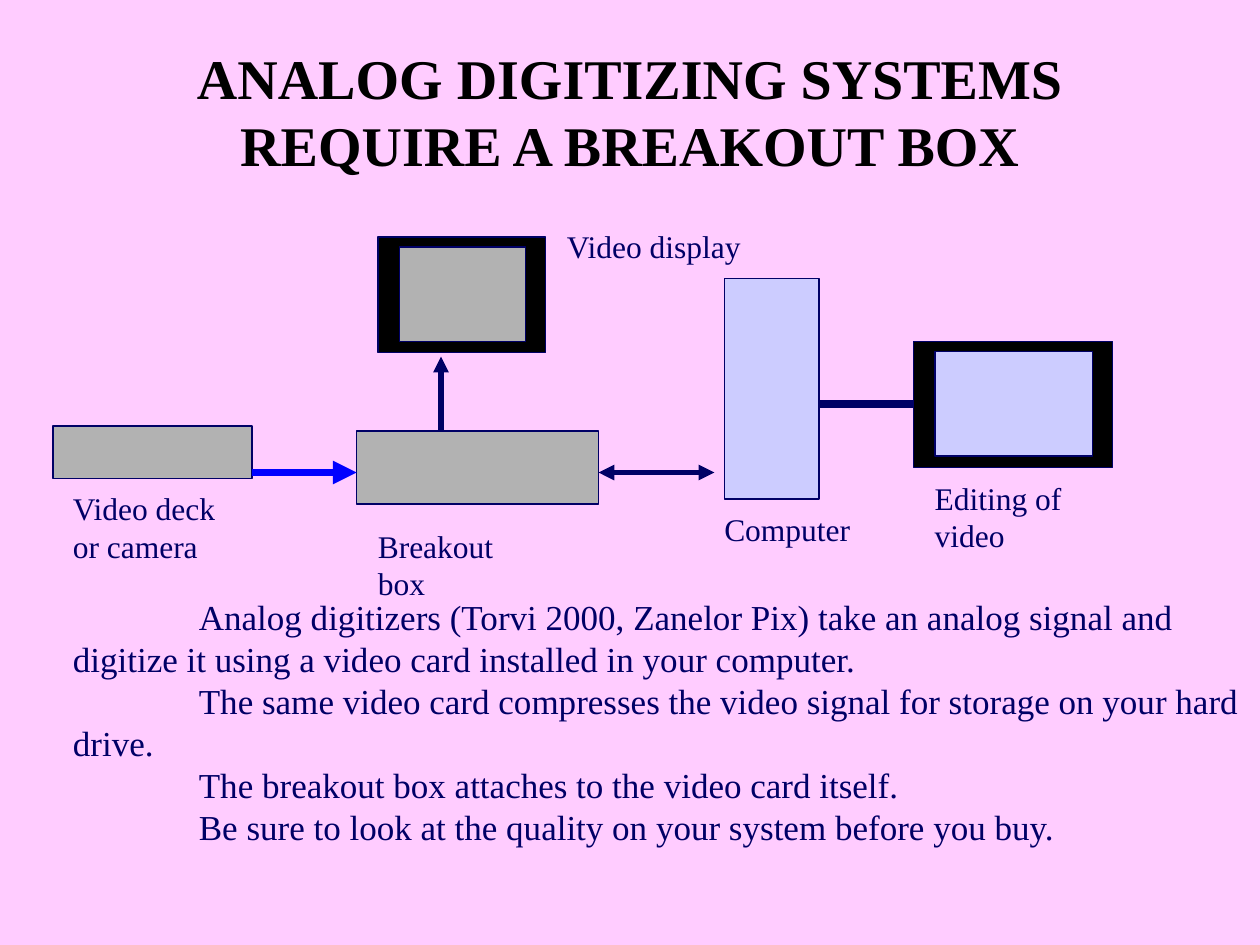
import pptx
import pptx.util
import pptx.dml.color
import pptx.enum.shapes
import pptx.enum.text
import pptx.oxml.ns
from lxml import etree

Inches = pptx.util.Inches
Pt = pptx.util.Pt
RGBColor = pptx.dml.color.RGBColor
PP_ALIGN = pptx.enum.text.PP_ALIGN
MSO_ANCHOR = pptx.enum.text.MSO_ANCHOR
MSO_AUTO_SIZE = pptx.enum.text.MSO_AUTO_SIZE
qn = pptx.oxml.ns.qn

PINK = RGBColor(0xFF, 0xCC, 0xFF)
NAVY = RGBColor(0x00, 0x00, 0x66)
BLUE = RGBColor(0x00, 0x00, 0xFF)
BLACK = RGBColor(0x00, 0x00, 0x00)
GRAY = RGBColor(0xB2, 0xB2, 0xB2)
LAVENDER = RGBColor(0xCC, 0xCC, 0xFF)
FONT = "Times New Roman"


def add_text(s, box, lines, size, color=NAVY, bold=False, wrap=True,
             align=PP_ALIGN.LEFT, anchor=MSO_ANCHOR.TOP, indent=0):
    tf = s.shapes.add_textbox(*map(Inches, box)).text_frame
    tf.word_wrap = wrap
    tf.vertical_anchor = anchor
    tf.auto_size = MSO_AUTO_SIZE.NONE if wrap else MSO_AUTO_SIZE.SHAPE_TO_FIT_TEXT
    for i, line in enumerate(lines):
        p = tf.paragraphs[0] if i == 0 else tf.add_paragraph()
        p.alignment = align
        if indent:
            pPr = p._p.get_or_add_pPr()
            pPr.set("marL", "0")
            pPr.set("indent", str(Inches(indent)))
        r = p.add_run()
        r.text = line
        r.font.name = FONT
        r.font.size = Pt(size)
        r.font.bold = bold
        r.font.color.rgb = color


def add_box(s, box, fill):
    sp = s.shapes.add_shape(pptx.enum.shapes.MSO_SHAPE.RECTANGLE, *map(Inches, box))
    sp.shadow.inherit = False
    sp.fill.solid()
    sp.fill.fore_color.rgb = fill
    sp.line.color.rgb = NAVY
    sp.line.width = Pt(0.75)


def add_monitor(s, box, screen):
    x, y, w, h = box
    add_box(s, box, BLACK)
    add_box(s, (x + 0.17, y + 0.08, w - 0.33, h - 0.17), screen)


def add_line(s, start, end, width, color=NAVY, heads=()):
    sp = s.shapes.add_connector(pptx.enum.shapes.MSO_CONNECTOR.STRAIGHT,
                                *map(Inches, start + end))
    sp.line.color.rgb = color
    sp.line.width = Pt(width)
    ln = sp.line._get_or_add_ln()
    for head in heads:
        etree.SubElement(ln, qn("a:" + head), type="triangle")
    etree.SubElement(sp._element.spPr, qn("a:effectLst"))


def add_title(s, box):
    add_text(s, box, ["ANALOG DIGITIZING SYSTEMS REQUIRE A BREAKOUT BOX"], 32,
             BLACK, True, align=PP_ALIGN.CENTER, anchor=MSO_ANCHOR.MIDDLE)


def add_diagram(s, left, top):
    def at(x, y, *size):
        return (left + x, top + y) + size

    add_box(s, at(0, 1.63, 1.58, 0.42), GRAY)
    add_monitor(s, at(2.58, 0.13, 1.33, 0.92), GRAY)
    add_box(s, at(5.33, 0.46, 0.75, 1.75), LAVENDER)
    add_monitor(s, at(6.83, 0.96, 1.58, 1), LAVENDER)
    add_box(s, at(2.41, 1.67, 1.92, 0.58), GRAY)

    labels = [
        (at(0.06, 2.08, 1.41, 0.7), ["Video deck", "or camera"]),
        (at(3.98, 0, 1.59, 0.4), ["Video display"]),
        (at(5.23, 2.25, 1.2, 0.4), ["Computer"]),
        (at(6.9, 2, 1.82, 0.4), ["Editing of video"]),
        (at(2.48, 2.38, 1.55, 0.4), ["Breakout box"]),
    ]
    for box, lines in labels:
        add_text(s, box, lines, 18, wrap=False)

    add_line(s, at(6.08, 1.46), at(6.83, 1.46), 4.5)
    add_line(s, at(1.58, 2), at(2.41, 2), 4.5, BLUE, ["tailEnd"])
    add_line(s, at(3.08, 1.67), at(3.08, 1.08), 3, heads=["tailEnd"])
    add_line(s, at(4.33, 2), at(5.25, 2), 3, heads=["headEnd", "tailEnd"])


def add_notes_text(s, box):
    add_text(s, box, [
        "Analog digitizers (Torvi 2000, Zanelor Pix) take an analog signal and "
        "digitize it using a video card installed in your computer.",
        "The same video card compresses the video signal for storage on your hard drive.",
        "The breakout box attaches to the video card itself.",
        "Be sure to look at the quality on your system before you buy.",
    ], 20, indent=1)


def main():
    prs = pptx.Presentation()
    prs.slide_width = Inches(10)
    prs.slide_height = Inches(7.5)
    s = prs.slides.add_slide(prs.slide_layouts[6])
    s.background.fill.solid()
    s.background.fill.fore_color.rgb = PINK
    add_title(s, (0.75, 0.25, 8.5, 1.25))
    add_diagram(s, 0.42, 1.75)
    add_notes_text(s, (0.48, 4.68, 9.52, 2.44))
    prs.save("out.pptx")


if __name__ == "__main__":
    main()
